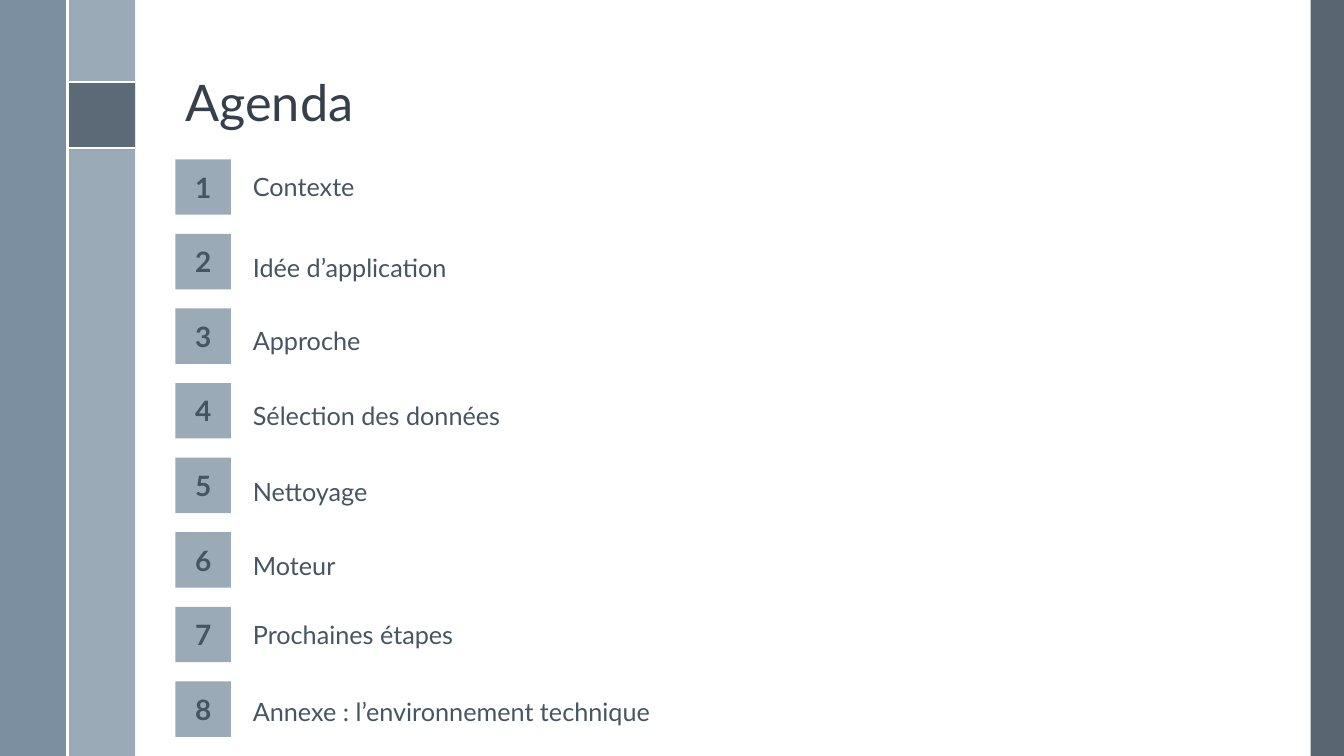
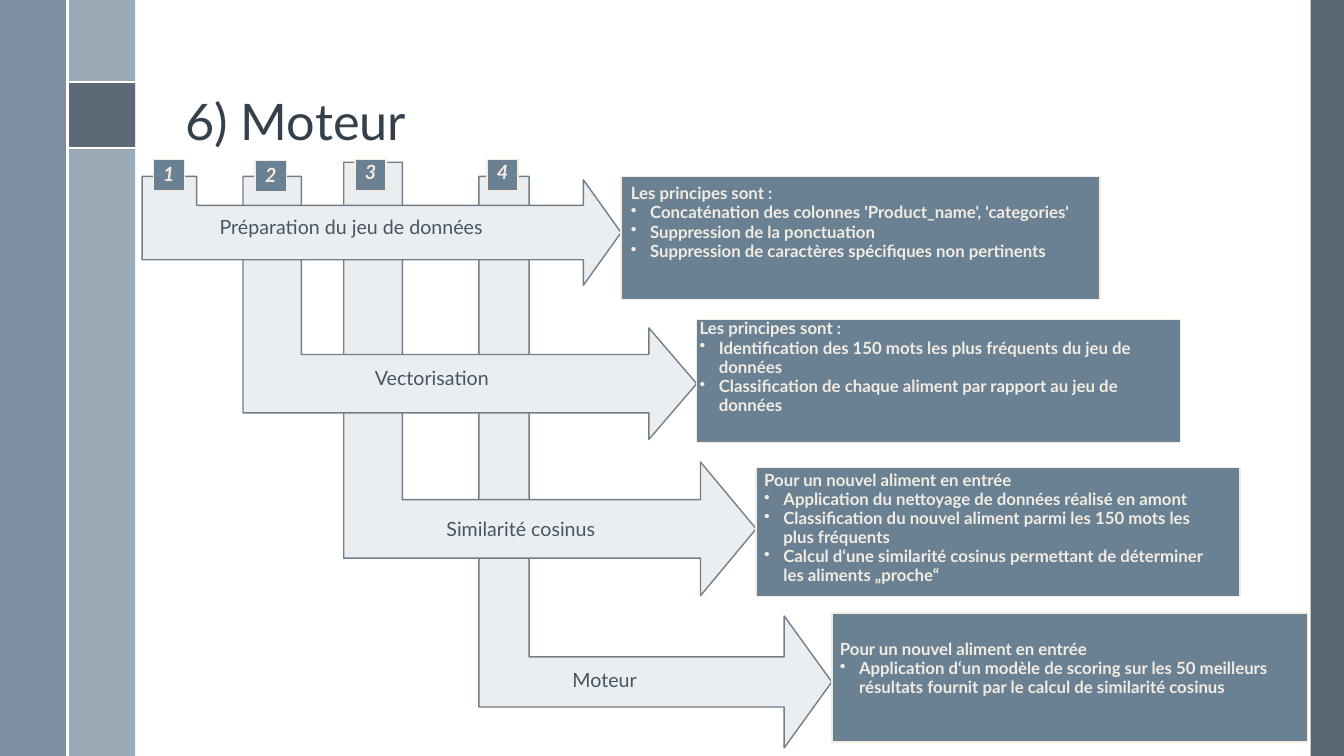
from lxml.etree import SubElement
from pptx import Presentation
from pptx.dml.color import RGBColor
from pptx.enum.shapes import MSO_CONNECTOR, MSO_SHAPE
from pptx.enum.text import MSO_ANCHOR, PP_ALIGN
from pptx.oxml.ns import qn
from pptx.util import Inches, Pt

FONT = "Lato"
COLORS = {
    "title": "35404A",
    "text": "465562",
    "slate": "475562",
    "steel": "6A8093",
    "mist": "9BAAB7",
    "arrow": "EBEEF1",
    "arrow_edge": "737E87",
    "cream": "F2ECE2",
    "white": "FFFFFF",
}

# Shared decoration: left, top, width, height, colour, opacity in percent
BANDS = [
    (13, 0, 0.33, 7.5, "slate", 90),
    (0.67, 0, 0.67, 7.5, "mist", 100),
    (0, 0, 0.67, 7.5, "steel", 88),
    (0.67, 0.81, 0.67, 0.67, "slate", 75),
]
RULES = [(0.67, 0.81, 1.34, 0.81), (0.67, 1.47, 1.34, 1.47), (0.67, 0, 0.67, 7.5)]
PI_OUTLINE = [
    (1.18, 0.98), (0.9, 0.98), (0.87, 0.99), (0.84, 1.02), (0.83, 1.04), (0.84, 1.05),
    (0.85, 1.05), (0.87, 1.02), (0.9, 1.01), (0.94, 1.01), (0.93, 1.13), (0.91, 1.22),
    (0.88, 1.27), (0.88, 1.29), (0.9, 1.29), (0.94, 1.21), (0.96, 1.11), (0.97, 1.01),
    (1.06, 1.01), (1.05, 1.22), (1.05, 1.26), (1.07, 1.29), (1.1, 1.3), (1.12, 1.3),
    (1.16, 1.28), (1.18, 1.25), (1.19, 1.22), (1.18, 1.21), (1.16, 1.22), (1.14, 1.26),
    (1.11, 1.28), (1.08, 1.27), (1.07, 1.25), (1.07, 1.22), (1.09, 1.01), (1.18, 1.01),
    (1.19, 1),
]

# Agenda: entry and top of its text
AGENDA = [
    ("Contexte", 1.65),
    ("Idée d’application", 2.45),
    ("Approche", 3.18),
    ("Sélection des données", 3.92),
    ("Nettoyage", 4.68),
    ("Moteur", 5.41),
    ("Prochaines étapes", 6.09),
    ("Annexe : l’environnement technique", 6.86),
]
AGENDA_TOP, AGENDA_PITCH, AGENDA_SQUARE = 1.58, 0.74, 0.55

# Engine steps; each arrow ends at the left edge of its panel
STEPS = [
    {
        "label": "Préparation du jeu de données", "label_at": (2.08, 2.08),
        "arrow": (1.41, 1.75, 1.08), "bends": (0.5, 0.484, 0.346),
        "badge": (1.52, 1.58, 0.04),
        "panel": (6.16, 1.75, 4.75, 1.22), "padding": (0.1, 0.08),
        "heading": "Les principes sont :",
        "points": [
            "Concaténation des colonnes 'Product_name', 'categories'",
            "Suppression de la ponctuation",
            "Suppression de caractères spécifiques non pertinents",
        ],
    },
    {
        "label": "Vectorisation", "label_at": (3.62, 3.58),
        "arrow": (2.41, 1.75, 2.61), "bends": (0.222, 0.212, 0.182),
        "badge": (2.53, 1.59, 0.04),
        "panel": (6.91, 3.17, 4.8, 1.22), "padding": (0.03, 0),
        "heading": "Les principes sont :",
        "points": [
            "Identification des 150 mots les plus fréquents du jeu de données",
            "Classification de chaque aliment par rapport au jeu de données",
        ],
    },
    {
        "label": "Similarité cosinus", "label_at": (4.33, 5.08),
        "arrow": (3.41, 1.61, 4.3), "bends": (0.142, 0.162, 0.135),
        "badge": (3.52, 1.58, 0),
        "panel": (7.5, 4.64, 4.8, 1.28), "padding": (0.08, 0.03),
        "heading": "Pour un nouvel aliment en entrée",
        "points": [
            "Application du nettoyage de données réalisé en amont",
            "Classification du nouvel aliment parmi les 150 mots les plus fréquents",
            "Calcul d‘une similarité cosinus permettant de déterminer les aliments „proche“",
        ],
    },
    {
        "label": "Moteur", "label_at": (5.58, 6.58),
        "arrow": (4.75, 1.75, 5.67), "bends": (0.142, 0.187, 0.135),
        "badge": (4.83, 1.58, 0),
        "panel": (8.25, 6.08, 4.72, 1.28), "padding": (0.08, 0.27),
        "heading": "Pour un nouvel aliment en entrée",
        "points": [
            "Application d‘un modèle de scoring sur les 50 meilleurs résultats "
            "fournit par le calcul de similarité cosinus",
        ],
    },
]


def rgb(name):
    return RGBColor.from_string(COLORS[name])


def paint(shape, fill, edge=None, opacity=100):
    shape.shadow.inherit = False
    shape.fill.solid()
    shape.fill.fore_color.rgb = rgb(fill)
    if opacity < 100:
        color = shape.fill._xPr.find(qn("a:solidFill"))[0]
        SubElement(color, qn("a:alpha"), val=str(opacity * 1000))
    if edge:
        shape.line.color.rgb = rgb(edge)
        shape.line.width = Pt(1)
    else:
        shape.line.fill.background()


def add_box(slide, box, fill, edge=None, opacity=100, kind=MSO_SHAPE.RECTANGLE):
    shape = slide.shapes.add_shape(kind, *map(Inches, box))
    paint(shape, fill, edge, opacity)
    return shape


def set_margins(frame, left, top, right, bottom):
    frame.margin_left, frame.margin_top = Inches(left), Inches(top)
    frame.margin_right, frame.margin_bottom = Inches(right), Inches(bottom)


def write(paragraph, text, size, color, bold=False, italic=False):
    paragraph.text = text
    font = paragraph.font
    font.name, font.size, font.bold, font.italic = FONT, Pt(size), bold, italic
    font.color.rgb = rgb(color)


def add_text(slide, box, text, size, color):
    frame = slide.shapes.add_textbox(*map(Inches, box)).text_frame
    frame.word_wrap = True
    write(frame.paragraphs[0], text, size, color)
    return frame


def add_number(shape, number, size, color, margins, italic=False):
    frame = shape.text_frame
    frame.vertical_anchor = MSO_ANCHOR.MIDDLE
    frame.word_wrap = False
    set_margins(frame, *margins)
    paragraph = frame.paragraphs[0]
    paragraph.alignment = PP_ALIGN.CENTER
    write(paragraph, str(number), size, color, bold=True, italic=italic)
    return paragraph


def add_bullet(paragraph, color):
    properties = paragraph._p.get_or_add_pPr()
    properties.set("marL", str(Inches(0.19)))
    properties.set("indent", str(-Inches(0.19)))
    bullet_color = SubElement(properties, qn("a:buClr"))
    SubElement(bullet_color, qn("a:srgbClr"), val=COLORS[color])
    SubElement(properties, qn("a:buChar"), char="•")


def start_slide(prs, title, title_top):
    slide = prs.slides.add_slide(prs.slide_layouts[6])
    for *box, color, opacity in BANDS:
        add_box(slide, box, color, opacity=opacity)
    for ends in RULES:
        rule = slide.shapes.add_connector(MSO_CONNECTOR.STRAIGHT, *map(Inches, ends))
        rule.line.color.rgb = rgb("white")
        rule.line.width = Pt(1.5)
        SubElement(rule._element.spPr, qn("a:effectLst"))
    # Pi sign
    outline = slide.shapes.build_freeform(*PI_OUTLINE[0], scale=Inches(1))
    outline.add_line_segments(PI_OUTLINE[1:], close=True)
    paint(outline.convert_to_shape(), "white")
    # Title
    frame = add_text(slide, (1.74, title_top, 10.7, 1.36), title, 36, "title")
    frame.vertical_anchor = MSO_ANCHOR.BOTTOM
    frame.paragraphs[0].line_spacing = 0.9
    return slide


def build_agenda(prs):
    slide = start_slide(prs, "Agenda", 0)
    for row, (entry, text_top) in enumerate(AGENDA):
        top = AGENDA_TOP + row * AGENDA_PITCH
        square = add_box(slide, (1.74, top, AGENDA_SQUARE, AGENDA_SQUARE), "mist")
        number = add_number(square, row + 1, 20, "text", (0, 0, 0, 0))
        number.space_before = Pt(2)
        add_text(slide, (2.41, text_top, 6.33, 0.4), entry, 18, "text")


def add_step_arrow(slide, step):
    left, top, height = step["arrow"]
    width = step["panel"][0] - left
    # The preset points up: swap its sides around the centre, then turn it
    box = (left + (width - height) / 2, top + (height - width) / 2, height, width)
    arrow = add_box(slide, box, "arrow", "arrow_edge", kind=MSO_SHAPE.BENT_UP_ARROW)
    arrow.rotation = 90
    for index, bend in enumerate(step["bends"]):
        arrow.adjustments[index] = bend


def add_step_panel(slide, step):
    frame = add_box(slide, step["panel"], "steel", "cream").text_frame
    frame.word_wrap = True
    frame.vertical_anchor = MSO_ANCHOR.TOP
    set_margins(frame, *step["padding"], 0.22, 0)
    for index, line in enumerate([step["heading"], *step["points"]]):
        paragraph = frame.add_paragraph() if index else frame.paragraphs[0]
        if index:
            add_bullet(paragraph, "cream")
        paragraph.alignment = PP_ALIGN.LEFT
        paragraph.line_spacing = 0.95
        write(paragraph, line, 12, "cream", bold=True)


def build_engine(prs):
    slide = start_slide(prs, "6) Moteur", 0.19)
    # Earlier steps lie over later ones
    for step in reversed(STEPS):
        add_step_arrow(slide, step)
    for number, step in enumerate(STEPS, start=1):
        add_step_panel(slide, step)
        left, top, inset = step["badge"]
        badge = add_box(slide, (left, top, 0.31, 0.31), "steel", "cream")
        add_number(badge, number, 14, "cream", (0.11, inset, 0.11, 0.06), italic=True)
        add_text(slide, (*step["label_at"], 3.04, 0.34), step["label"], 14, "text")


def main():
    prs = Presentation()
    prs.slide_width, prs.slide_height = Inches(13.33), Inches(7.5)
    build_agenda(prs)
    build_engine(prs)
    prs.save("out.pptx")


if __name__ == "__main__":
    main()
